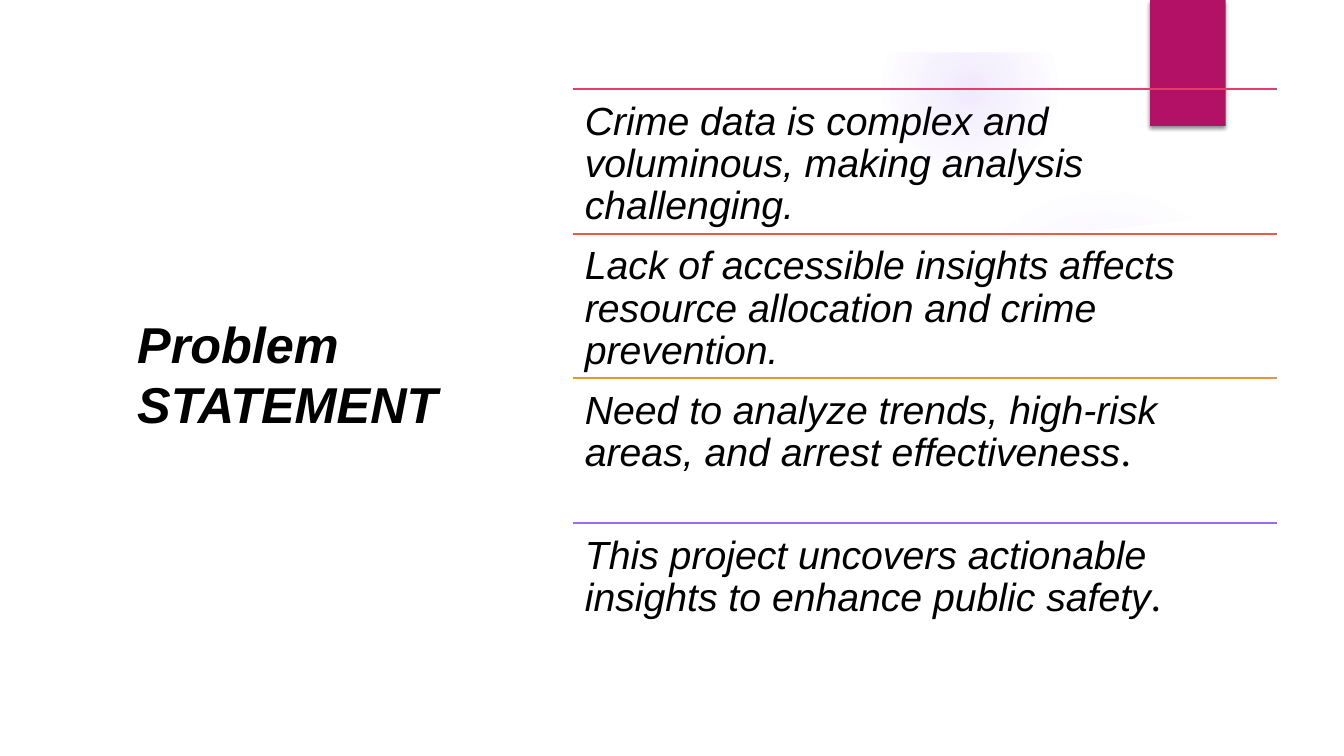
"""Build the problem statement slide with four ruled statements."""
from dataclasses import dataclass

from lxml.etree import SubElement
from pptx import Presentation
from pptx.dml.color import RGBColor
from pptx.enum.shapes import MSO_CONNECTOR, MSO_SHAPE
from pptx.enum.text import MSO_ANCHOR, PP_ALIGN
from pptx.oxml import parse_xml
from pptx.oxml.ns import nsdecls, qn
from pptx.shapes.autoshape import Shape
from pptx.slide import Slide
from pptx.text.text import _Paragraph as Paragraph
from pptx.util import Pt

WHITE = RGBColor(0xFF, 0xFF, 0xFF)
BLACK = RGBColor(0x00, 0x00, 0x00)
MAGENTA = RGBColor(0xB3, 0x11, 0x66)
ROSE = RGBColor(0xE3, 0x3D, 0x6F)
CORAL = RGBColor(0xE4, 0x5F, 0x3C)
ORANGE = RGBColor(0xE9, 0x94, 0x3A)
VIOLET = RGBColor(0x9B, 0x6B, 0xF2)

SLIDE_WIDTH, SLIDE_HEIGHT = 960, 540
LIST_LEFT, LIST_TOP, LIST_WIDTH = 409, 63.6, 503.3
ROW_HEIGHT = 103.3
ROW_INSET = 8.8


@dataclass(frozen=True)
class Glow:
    left: float
    top: float
    size: float
    stops: tuple[tuple[int, int], ...]


@dataclass(frozen=True)
class Statement:
    text: str
    color: RGBColor
    ending: str = ""


GLOWS = (
    Glow(677.5, 131.8, 221.8, ((0, 7), (36, 6), (69, 0))),
    Glow(630, 0.7, 126, ((0, 14), (36, 7), (73, 0))),
)
COVER_OUTLINE = (
    (36, 147), (108, 157), (205, 166), (320, 173), (420, 177), (510, 178.5),
    (605, 177), (683, 173.5), (763, 167), (844, 158), (924, 147),
    (924, 504), (36, 504),
)
STATEMENTS = (
    Statement("Crime data is complex and voluminous, making analysis challenging.", ROSE),
    Statement("Lack of accessible insights affects resource allocation and crime prevention.", CORAL),
    Statement("Need to analyze trends, high-risk areas, and arrest effectiveness", ORANGE, "."),
    Statement("This project uncovers actionable insights to enhance public safety", VIOLET, "."),
)


def paint(shape: Shape, color: RGBColor) -> None:
    """Give a shape a plain fill without line or shadow."""
    shape.shadow.inherit = False
    shape.fill.solid()
    shape.fill.fore_color.rgb = color
    shape.line.fill.background()


def add_block(slide: Slide, left: float, top: float, width: float, height: float,
              color: RGBColor, kind: MSO_SHAPE = MSO_SHAPE.RECTANGLE) -> Shape:
    """Add a plain preset shape."""
    shape = slide.shapes.add_shape(kind, Pt(left), Pt(top), Pt(width), Pt(height))
    paint(shape, color)
    return shape


def add_glow(slide: Slide, glow: Glow) -> None:
    """Add a circle that fades out from its centre."""
    shape = add_block(slide, glow.left, glow.top, glow.size, glow.size, VIOLET, MSO_SHAPE.OVAL)
    stops = "".join(
        f'<a:gs pos="{position * 1000}"><a:srgbClr val="{VIOLET}">'
        f'<a:alpha val="{alpha * 1000}"/></a:srgbClr></a:gs>'
        for position, alpha in glow.stops
    )
    gradient = parse_xml(
        f'<a:gradFill {nsdecls("a")} rotWithShape="1"><a:gsLst>{stops}</a:gsLst>'
        '<a:path path="circle"><a:fillToRect l="50000" t="50000" r="50000" b="50000"/>'
        '</a:path></a:gradFill>'
    )
    properties = shape.element.spPr
    properties.replace(properties.find(qn("a:solidFill")), gradient)


def add_cover(slide: Slide) -> None:
    """Add the white curved panel that hides the lower part of the glows."""
    builder = slide.shapes.build_freeform(*map(Pt, COVER_OUTLINE[0]), scale=1.0)
    builder.add_line_segments([(Pt(x), Pt(y)) for x, y in COVER_OUTLINE[1:]], close=True)
    paint(builder.convert_to_shape(), WHITE)


def add_ribbon(slide: Slide) -> None:
    """Add the magenta ribbon with its soft shadow."""
    ribbon = add_block(slide, 821.5, 0, 54, 90, MAGENTA)
    effects = ribbon.element.spPr.find(qn("a:effectLst"))
    effects.append(parse_xml(
        f'<a:outerShdw {nsdecls("a")} blurRad="{Pt(3)}" dist="{Pt(2)}" dir="5400000" '
        'rotWithShape="0"><a:srgbClr val="000000"><a:alpha val="45000"/></a:srgbClr></a:outerShdw>'
    ))


def add_paragraph_box(slide: Slide, left: float, top: float, width: float, height: float,
                      inset: float, anchor: MSO_ANCHOR) -> Paragraph:
    """Add a wrapping text box and return its first paragraph."""
    frame = slide.shapes.add_textbox(Pt(left), Pt(top), Pt(width), Pt(height)).text_frame
    frame.word_wrap = True
    frame.vertical_anchor = anchor
    frame.margin_left = frame.margin_right = Pt(inset)
    frame.margin_top = frame.margin_bottom = Pt(inset)
    paragraph = frame.paragraphs[0]
    paragraph.alignment = PP_ALIGN.LEFT
    return paragraph


def add_run(paragraph: Paragraph, text: str, size: float, name: str = "Arial",
            bold: bool = False, italic: bool = True) -> None:
    """Add one black run."""
    run = paragraph.add_run()
    run.text = text
    run.font.name = name
    run.font.size = Pt(size)
    run.font.bold = bold
    run.font.italic = italic
    run.font.color.rgb = BLACK


def add_statement(slide: Slide, statement: Statement, top: float) -> None:
    """Add a coloured rule with its statement below."""
    rule = slide.shapes.add_connector(
        MSO_CONNECTOR.STRAIGHT, Pt(LIST_LEFT), Pt(top), Pt(LIST_LEFT + LIST_WIDTH), Pt(top))
    rule.line.color.rgb = statement.color
    rule.line.width = Pt(1.5)
    SubElement(rule.element.spPr, qn("a:effectLst"))
    paragraph = add_paragraph_box(
        slide, LIST_LEFT, top, LIST_WIDTH, ROW_HEIGHT, ROW_INSET, MSO_ANCHOR.TOP)
    paragraph.line_spacing = 0.9
    add_run(paragraph, statement.text, 28)
    if statement.ending:
        add_run(paragraph, statement.ending, 28, "League Spartan", italic=False)


def main() -> None:
    """Build and save the presentation."""
    presentation = Presentation()
    presentation.slide_width = Pt(SLIDE_WIDTH)
    presentation.slide_height = Pt(SLIDE_HEIGHT)
    slide = presentation.slides.add_slide(presentation.slide_layouts[6])
    slide.background.fill.solid()
    slide.background.fill.fore_color.rgb = WHITE
    for glow in GLOWS:
        add_glow(slide, glow)
    add_cover(slide)
    add_block(slide, 0, 0, SLIDE_WIDTH, 37.4, WHITE)
    add_ribbon(slide)
    title = add_paragraph_box(slide, 90.9, 76.3, 231.8, 380.9, 7.2, MSO_ANCHOR.MIDDLE)
    add_run(title, "Problem STATEMENT", 36, bold=True)
    for index, statement in enumerate(STATEMENTS):
        add_statement(slide, statement, LIST_TOP + index * ROW_HEIGHT)
    presentation.save("out.pptx")


if __name__ == "__main__":
    main()
